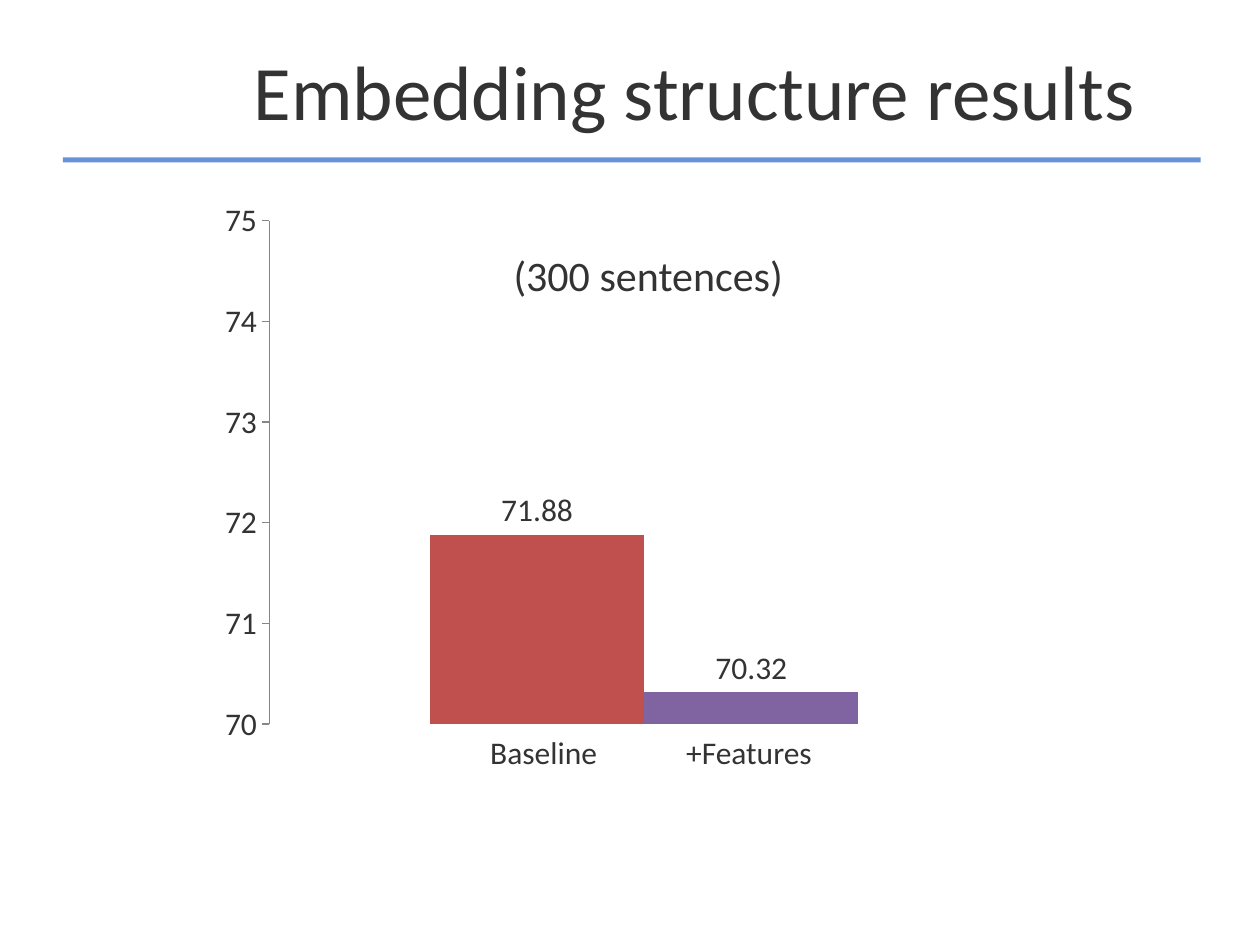
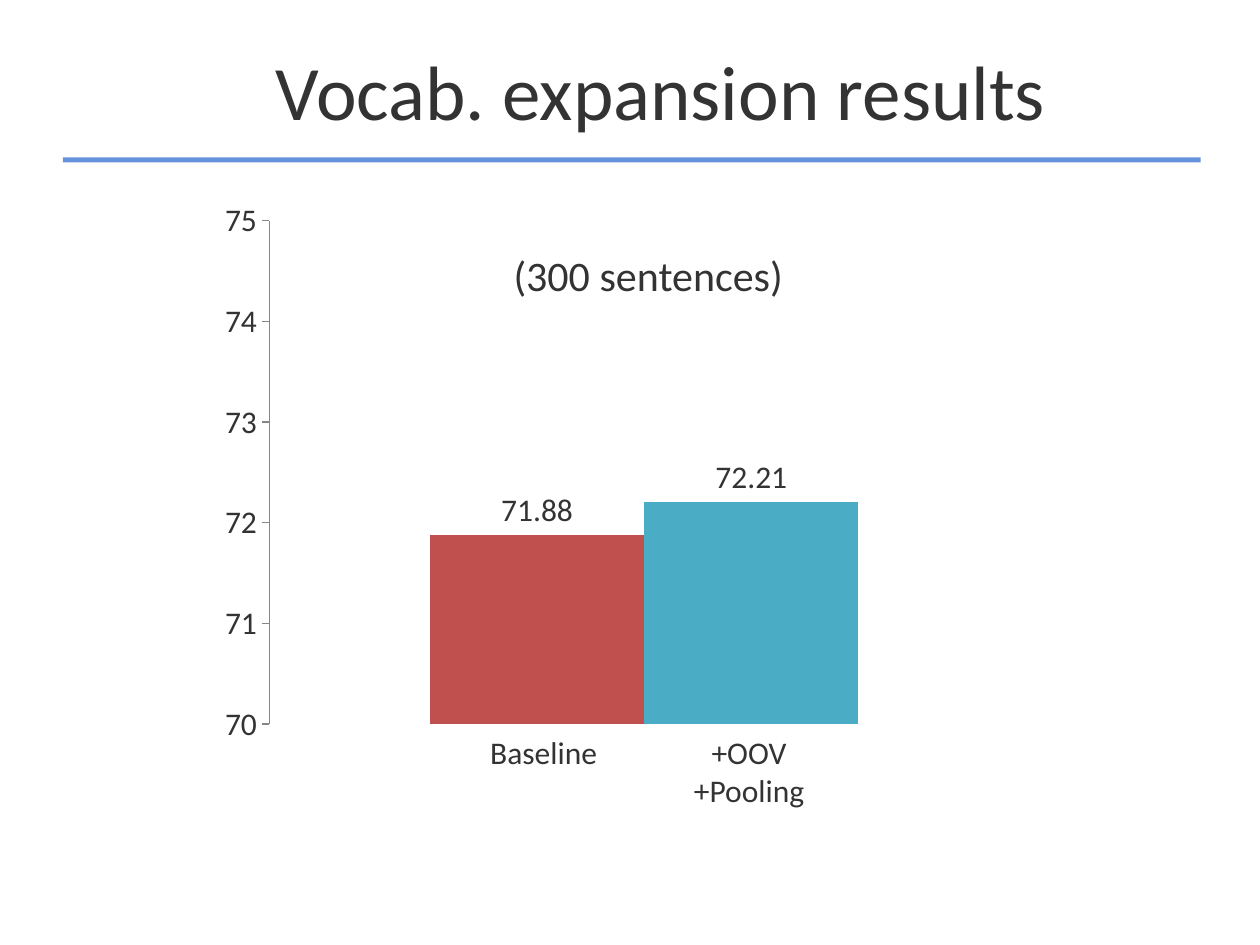
from lxml import etree
from pptx import Presentation
from pptx import util as u
from pptx.chart.data import CategoryChartData
from pptx.dml.color import RGBColor
from pptx.enum import chart as charts, shapes, text
from pptx.oxml import ns

PX = 9144  # 100 px to the inch
FONT = "Calibri"
INK, RULE, AXIS = "333333", "6692DC", "868686"
RED, PURPLE, TEAL = "C0504D", "8064A2", "4BACC6"


def px(value):
    return u.Emu(value * PX)


def color(value):
    return RGBColor.from_string(value)


def apply(target, values):
    for name, value in values.items():
        setattr(target, name, value)


def place(left, top, width, height):
    return [px(value) for value in (left, top, width, height)]


class Deck:
    """Holds the shared style and the current slide."""

    def __init__(self):
        self.presentation = Presentation()
        apply(self.presentation, {"slide_width": px(1000), "slide_height": px(750)})
        self.slide = None

    def style_font(self, font, size):
        apply(font, {"name": FONT, "size": u.Pt(size)})
        font.color.rgb = color(INK)

    def fill_text(self, frame, lines, size):
        frame.text = "\n".join(lines)
        for paragraph in frame.paragraphs:
            paragraph.alignment = text.PP_ALIGN.CENTER
            self.style_font(paragraph.runs[0].font, size)

    def new_slide(self, title, indent=0):
        self.slide = self.presentation.slides.add_slide(
            self.presentation.slide_layouts.get_by_name("Title Only"))
        self.rule()
        shape = self.slide.shapes.title
        apply(shape, dict(zip(("left", "top", "width", "height"),
                              place(133, 16, 783, 110))))
        self.fill_text(shape.text_frame, [title], 44)
        apply(shape.text_frame, {
            "vertical_anchor": text.MSO_ANCHOR.MIDDLE,
            "auto_size": text.MSO_AUTO_SIZE.NONE,
            "margin_left": px(10 + indent)})

    def rule(self):
        shape = self.slide.shapes.add_shape(
            shapes.MSO_SHAPE.RECTANGLE, *place(50, 125, 903, 4))
        shape.shadow.inherit = False
        shape.fill.solid()
        shape.fill.fore_color.rgb = color(RULE)
        shape.line.fill.background()

    def label(self, box, lines, size):
        frame = self.slide.shapes.add_textbox(*place(*box)).text_frame
        apply(frame, {"word_wrap": True,
                      "auto_size": text.MSO_AUTO_SIZE.SHAPE_TO_FIT_TEXT})
        self.fill_text(frame, lines, size)

    def column_chart(self, box, bars):
        data = CategoryChartData()
        data.categories = ["1"]
        for number, (value, _) in enumerate(bars, 1):
            data.add_series(f"Series {number}", [value])
        chart = self.slide.shapes.add_chart(
            charts.XL_CHART_TYPE.COLUMN_CLUSTERED, *place(*box), data).chart
        apply(chart, {"has_legend": False, "has_title": False})
        self.style_font(chart.font, 18)

        # Axes
        chart.category_axis.visible = False
        axis = chart.value_axis
        apply(axis, {"minimum_scale": 70, "maximum_scale": 75, "major_unit": 1,
                     "has_major_gridlines": False,
                     "major_tick_mark": charts.XL_TICK_MARK.OUTSIDE})
        apply(axis.tick_labels, {"number_format": "#,##0",
                                 "number_format_is_linked": False})
        axis.format.line.color.rgb = color(AXIS)

        # Columns and their values
        plot = chart.plots[0]
        apply(plot, {"gap_width": 150, "overlap": 0, "vary_by_categories": False})
        for series, (_, fill) in zip(plot.series, bars):
            series.format.fill.solid()
            series.format.fill.fore_color.rgb = color(fill)
            apply(series.data_labels, {
                "show_value": True, "number_format": "0.00",
                "number_format_is_linked": False,
                "position": charts.XL_LABEL_POSITION.OUTSIDE_END})
        self.fix_plot_area(chart, x=0.07, y=0.05, w=0.91, h=0.9)

    def fix_plot_area(self, chart, **sizes):
        area = chart.element.find(".//" + ns.qn("c:plotArea"))
        for old in area.findall(ns.qn("c:layout")):
            area.remove(old)
        layout = etree.Element(ns.qn("c:layout"))
        manual = etree.SubElement(layout, ns.qn("c:manualLayout"))
        settings = {"layoutTarget": "inner", "xMode": "edge", "yMode": "edge", **sizes}
        for name, value in settings.items():
            etree.SubElement(manual, ns.qn("c:" + name), val=str(value))
        area.insert(0, layout)

    def results_slide(self, title, score, fill, names, indent=0):
        self.new_slide(title, indent)
        self.column_chart((168, 153, 654, 444), [(71.88, RED), (score, fill)])
        for column, lines in enumerate((["Baseline"], names)):
            height = 9 + 31 * len(lines)
            self.label((350 + 163 * column, 577, 163, height), lines, 18)
        self.label((294, 193, 441, 50), ["(300 sentences)"], 24)


def main():
    deck = Deck()
    deck.results_slide("Embedding structure results", 70.32, PURPLE,
                       ["+Features"], indent=54)
    deck.results_slide("Vocab. expansion results", 72.21, TEAL,
                       ["+OOV", "+Pooling"])
    deck.presentation.save("out.pptx")


if __name__ == "__main__":
    main()
